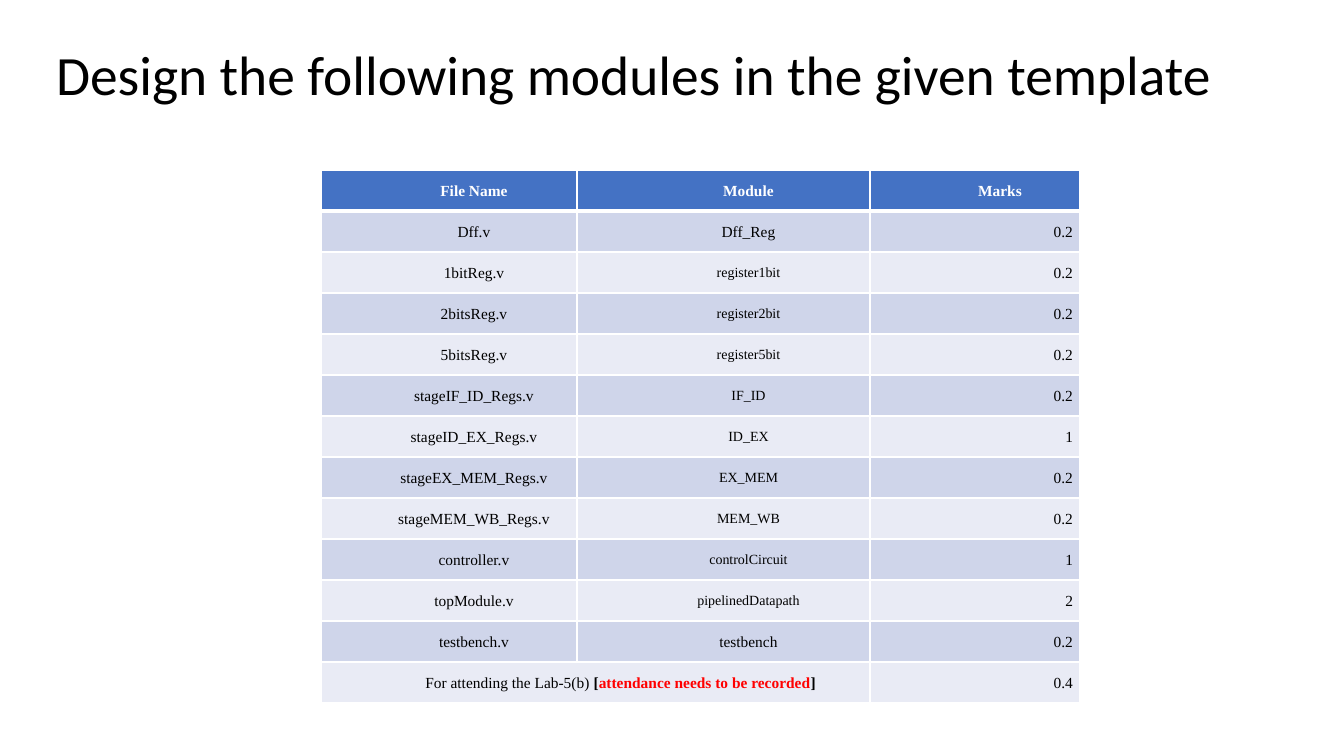
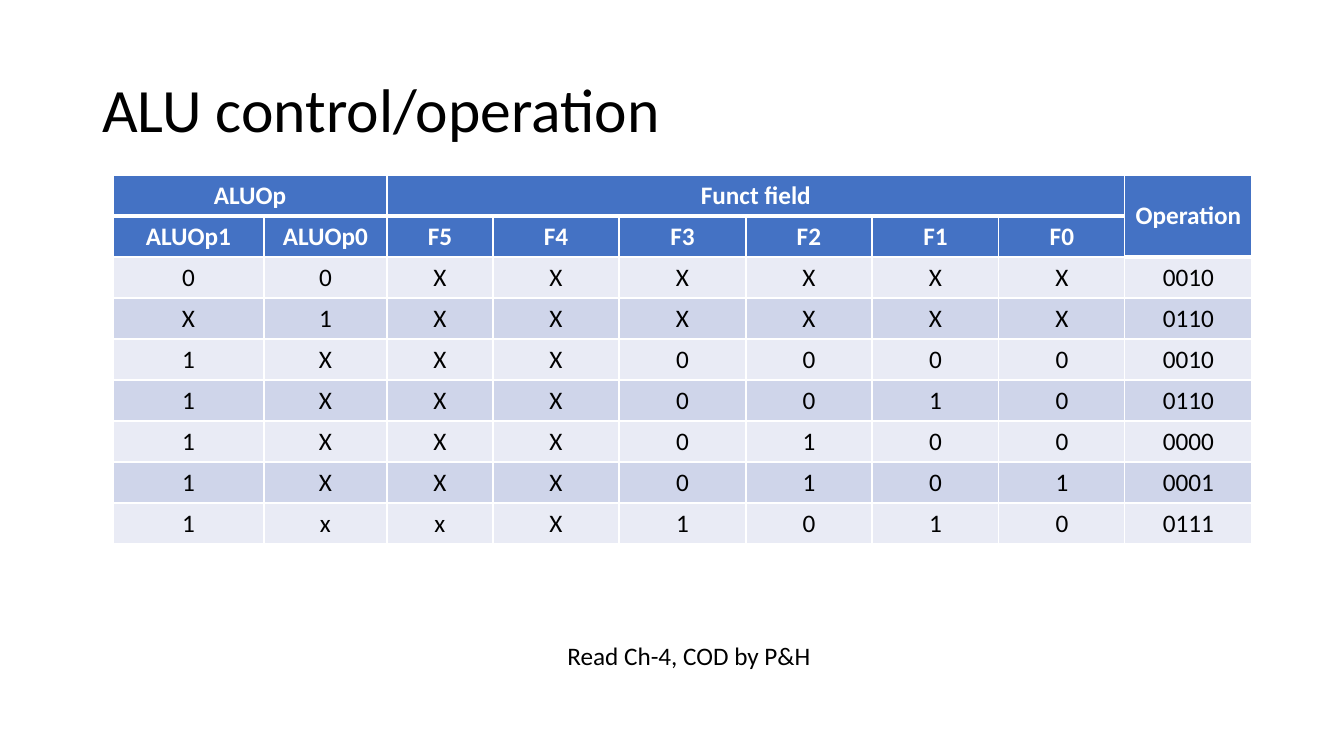
"""Build two slides: the graded Verilog modules and the ALU control table."""
import pptx
import pptx.dml.color
import pptx.enum.text
import pptx.oxml
import pptx.oxml.ns
import pptx.util

ALIGN = pptx.enum.text.PP_ALIGN
MIDDLE = pptx.enum.text.MSO_ANCHOR.MIDDLE
TOP = pptx.enum.text.MSO_ANCHOR.TOP
PX = 914400 / 100.8


def px(*lengths):
    return [pptx.util.Emu(round(length * PX)) for length in lengths]


def paint(color_format, value):
    color_format.rgb = pptx.dml.color.RGBColor.from_string(value)


def assign(target, values):
    for name, value in values.items():
        setattr(target, name, value)


class Deck:
    SANS, SERIF = "Calibri", "Times New Roman"
    BLACK, WHITE, RED = "000000", "FFFFFF", "FF0000"
    HEADER, BAND, LIGHT = "4472C4", "CFD5EA", "E9EBF5"
    ROW_HEIGHT = 41

    def __init__(self):
        self.presentation = pptx.Presentation()
        width, height = px(1344, 756)
        assign(self.presentation, {"slide_width": width, "slide_height": height})
        self.slide = None

    def add_text(self, frame, runs, font, size, color=BLACK, bold=False, align=ALIGN.LEFT,
                 spacing=1.0, indent=0):
        paragraph = frame.paragraphs[0]
        assign(paragraph, {"alignment": align, "line_spacing": spacing})
        if indent:
            properties = paragraph._p.get_or_add_pPr()
            properties.set("marL", str(px(indent)[0]))
            properties.set("indent", "0")
        for text, run_color, run_bold in [(runs, color, bold)] if isinstance(runs, str) else runs:
            run = paragraph.add_run()
            run.text = text
            assign(run.font, {"name": font, "size": pptx.util.Pt(size), "bold": run_bold})
            paint(run.font.color, run_color)

    def new_slide(self, title, box, size):
        self.slide = self.presentation.slides.add_slide(self.presentation.slide_layouts[5])
        heading = self.slide.shapes.title
        assign(heading, dict(zip(("left", "top", "width", "height"), px(*box))))
        assign(heading.text_frame, {"vertical_anchor": MIDDLE, "word_wrap": True,
                                    "auto_size": pptx.enum.text.MSO_AUTO_SIZE.NONE})
        self.add_text(heading.text_frame, title, self.SANS, size, spacing=0.9)

    def note(self, text, box):
        frame = self.slide.shapes.add_textbox(*px(*box)).text_frame
        frame.word_wrap = True
        self.add_text(frame, text, self.SANS, 18, align=ALIGN.CENTER)

    def border(self, cell, side, points):
        properties = cell._tc.get_or_add_tcPr()
        properties.append(pptx.oxml.parse_xml(
            f'<a:{side} {pptx.oxml.ns.nsdecls("a")} w="{pptx.util.Pt(points)}">'
            f'<a:solidFill><a:srgbClr val="{self.WHITE}"/></a:solidFill></a:{side}>'))

    def table(self, rows, left, top, widths, header_rows, merges, cell_style, cell_format):
        size = px(left, top, sum(widths), self.ROW_HEIGHT * len(rows))
        grid = self.slide.shapes.add_table(len(rows), len(widths), *size).table
        grid.horz_banding = False
        for column, width in zip(grid.columns, px(*widths)):
            column.width = width
        for first, last in merges:
            grid.cell(*first).merge(grid.cell(*last))
        for r, values in enumerate(rows):
            grid.rows[r].height = px(self.ROW_HEIGHT)[0]
            is_header = r < header_rows
            fill = self.HEADER if is_header else (self.BAND, self.LIGHT)[(r + 1) % 2]
            for c, value in enumerate(values):
                cell = grid.cell(r, c)
                heavy = r == 0 or (is_header and cell.is_spanned)
                for side, points in {"lnL": 1, "lnR": 1, "lnB": 3 if heavy else 1}.items():
                    self.border(cell, side, points)
                cell.fill.solid()
                paint(cell.fill.fore_color, fill)
                assign(cell, cell_format)
                if cell.is_merge_origin and cell.span_height > 1:
                    cell.vertical_anchor = MIDDLE
                if not cell.is_spanned:
                    style = {"color": self.WHITE if is_header else self.BLACK, "bold": is_header}
                    self.add_text(cell.text_frame, value, **style, **cell_style(r, c))


def marks_style(row, column):
    small_module = column == 1 and 2 <= row <= 10
    return {"font": Deck.SERIF, "size": 10 if small_module else 11, "spacing": 1.07, "indent": 50,
            "align": ALIGN.RIGHT if column == 2 and row else ALIGN.CENTER}


def alu_style(row, column):
    return {"font": Deck.SANS, "size": 18, "align": ALIGN.CENTER}


def main():
    deck = Deck()
    deck.new_slide("Design the following modules in the given template", (46, 40, 1205, 76), 39.6)
    attendance = [("For attending the Lab-5(b) ", deck.BLACK, False), ("[", deck.BLACK, True),
                  ("attendance needs to be recorded", deck.RED, True), ("]", deck.BLACK, True)]
    modules = [
        ("File Name", "Module", "Marks"),
        ("Dff.v", "Dff_Reg", "0.2"),
        ("1bitReg.v", "register1bit", "0.2"),
        ("2bitsReg.v", "register2bit", "0.2"),
        ("5bitsReg.v", "register5bit", "0.2"),
        ("stageIF_ID_Regs.v", "IF_ID", "0.2"),
        ("stageID_EX_Regs.v", "ID_EX", "1"),
        ("stageEX_MEM_Regs.v", "EX_MEM", "0.2"),
        ("stageMEM_WB_Regs.v", "MEM_WB", "0.2"),
        ("controller.v", "controlCircuit", "1"),
        ("topModule.v", "pipelinedDatapath", "2"),
        ("testbench.v", "testbench", "0.2"),
        (attendance, "", "0.4"),
    ]
    side = px(7)[0]
    deck.table(modules, 321, 170, [256, 293, 210], 1, [((12, 0), (12, 1))], marks_style,
               {"vertical_anchor": MIDDLE, "margin_left": side, "margin_right": side,
                "margin_top": 0, "margin_bottom": 0})

    deck.new_slide("ALU control/operation", (92, 40, 1159, 146), 44)
    deck.note("Read Ch-4, COD by P&H", (113, 635, 1152, 40))
    operations = [
        ("ALUOp", "", "Funct field", "", "", "", "", "", "Operation"),
        ("ALUOp1", "ALUOp0", "F5", "F4", "F3", "F2", "F1", "F0", ""),
        *(line.split() for line in (
            "0 0 X X X X X X 0010",
            "X 1 X X X X X X 0110",
            "1 X X X 0 0 0 0 0010",
            "1 X X X 0 0 1 0 0110",
            "1 X X X 0 1 0 0 0000",
            "1 X X X 0 1 0 1 0001",
            "1 x x X 1 0 1 0 0111")),
    ]
    deck.table(operations, 113, 175, [151, 123, 106] + [126, 127] * 3, 2,
               [((0, 0), (0, 1)), ((0, 2), (0, 7)), ((0, 8), (1, 8))], alu_style,
               {"vertical_anchor": TOP})
    deck.presentation.save("out.pptx")


if __name__ == "__main__":
    main()
